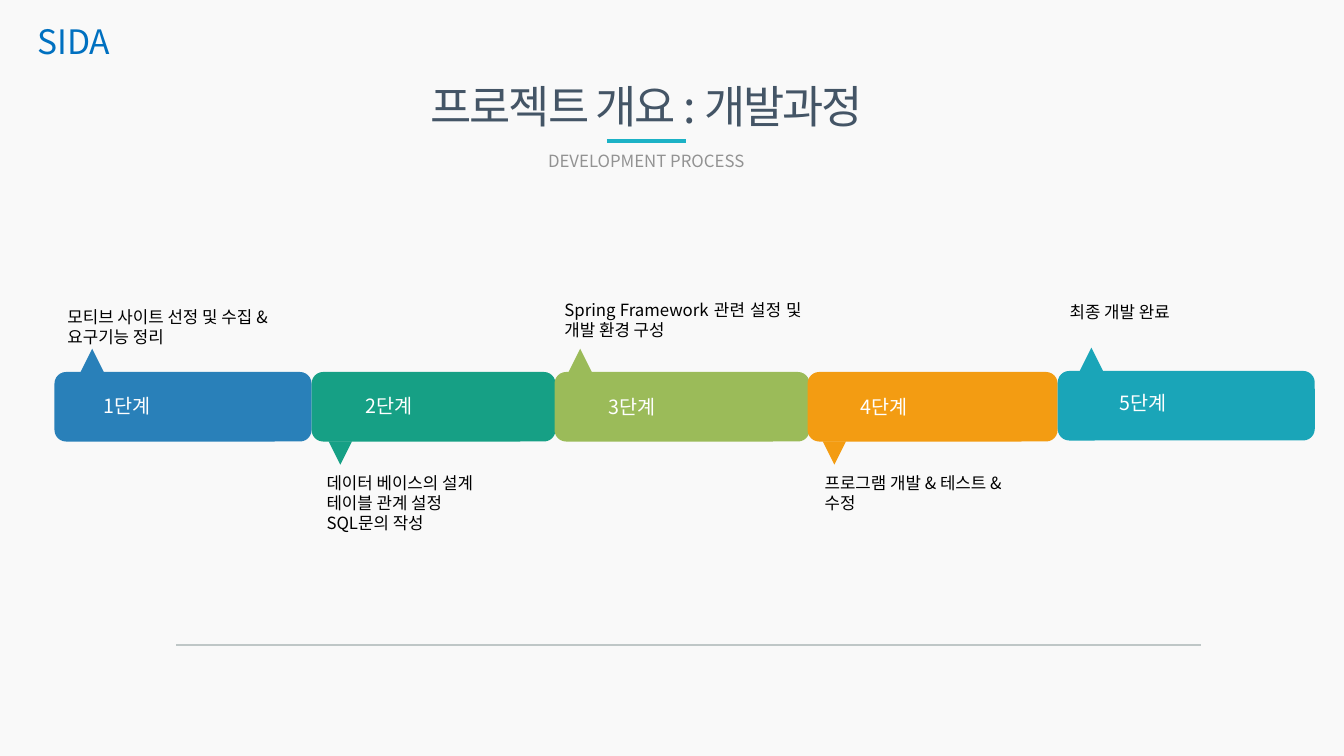
from lxml import etree
from pptx import Presentation
from pptx.dml.color import RGBColor
from pptx.enum import shapes, text
from pptx.oxml import ns
from pptx.util import Inches, Pt

FONT = "Noto Sans CJK KR"
BACKGROUND = RGBColor(0xF9, 0xF9, 0xF9)
TITLE_COLOR = RGBColor(0x44, 0x55, 0x66)
SUBTITLE_COLOR = RGBColor(0x92, 0x92, 0x92)
ACCENT = RGBColor(0x1C, 0xB2, 0xC6)
RULE_COLOR = RGBColor(0xBF, 0xC7, 0xC7)
SIDA_BLUE = RGBColor(0x00, 0x70, 0xC0)
BLACK = RGBColor(0x00, 0x00, 0x00)
WHITE = RGBColor(0xFF, 0xFF, 0xFF)
BLUE = RGBColor(0x29, 0x80, 0xB9)
GREEN = RGBColor(0x16, 0xA0, 0x85)
OLIVE = RGBColor(0x9B, 0xBB, 0x59)
ORANGE = RGBColor(0xF3, 0x9C, 0x12)
TEAL = RGBColor(0x1A, 0xA5, 0xB8)

LEFT = text.PP_ALIGN.LEFT
CENTER = text.PP_ALIGN.CENTER
JUSTIFY = text.PP_ALIGN.JUSTIFY

BAR_HEIGHT = 0.69
POINTER_SIZE = 0.23


def add_text(parent, box, content, size, color, alignment=LEFT, spacing=0):
    """Add a text box; spacing is the letter spacing in points."""
    text_box = parent.add_textbox(*map(Inches, box))
    frame = text_box.text_frame
    frame.word_wrap = True
    frame.auto_size = text.MSO_AUTO_SIZE.SHAPE_TO_FIT_TEXT
    frame.text = content
    for paragraph in frame.paragraphs:
        paragraph.alignment = alignment
        for run in paragraph.runs:
            run.font.size = Pt(size)
            run.font.color.rgb = color
            run.font.name = FONT
            properties = run.font._element
            etree.SubElement(properties, ns.qn("a:ea"), typeface=FONT)
            if spacing:
                properties.set("spc", str(int(spacing * 100)))


def add_rule(left, right, top, color, width):
    line = slide.shapes.add_connector(
        shapes.MSO_CONNECTOR.STRAIGHT,
        Inches(left), Inches(top), Inches(right), Inches(top))
    line.line.color.rgb = color
    line.line.width = Pt(width)
    etree.SubElement(line._element.spPr, ns.qn("a:effectLst"))


presentation = Presentation()
presentation.slide_width = Inches(13.33)
presentation.slide_height = Inches(7.5)
slide = presentation.slides.add_slide(presentation.slide_layouts[6])
slide.background.fill.solid()
slide.background.fill.fore_color.rgb = BACKGROUND

add_text(slide.shapes, (3.04, 0.73, 6.75, 0.64), "프로젝트 개요 : 개발과정",
         32, TITLE_COLOR, CENTER, spacing=-1.5)
add_text(slide.shapes, (4.67, 1.45, 3.48, 0.3), "DEVELOPMENT PROCESS",
         12, SUBTITLE_COLOR, CENTER)
add_rule(6.02, 6.8, 1.4, ACCENT, 3)

# color, bar (left, top, width), pointer left, points up,
# label (left, top), description box, description
stages = [
    (BLUE, (0.54, 3.69, 2.55), 0.8, True, (0.93, 3.86),
     (0.57, 2.99, 2.72, 0.5), "모티브 사이트 선정 및 수집 &\n요구기능 정리"),
    (GREEN, (3.09, 3.69, 2.42), 3.26, False, (3.53, 3.86),
     (3.14, 4.64, 2.55, 0.71), "데이터 베이스의 설계\n테이블 관계 설정\nSQL문의 작성"),
    (OLIVE, (5.5, 3.69, 2.53), 5.64, True, (5.94, 3.87),
     (5.5, 2.92, 2.55, 0.5), "Spring Framework 관련 설정 및 개발 환경 구성"),
    (ORANGE, (8.01, 3.69, 2.48), 8.16, False, (8.44, 3.87),
     (8.08, 4.64, 2.55, 0.5), "프로그램 개발 & 테스트 &\n수정"),
    (TEAL, (10.49, 3.68, 2.55), 10.71, True, (11.01, 3.83),
     (10.51, 2.94, 2.55, 0.3), "최종 개발 완료"),
]

for number, stage in enumerate(stages, start=1):
    color, bar_box, pointer_left, points_up, label, description_box, description = stage
    group = slide.shapes.add_group_shape().shapes
    bar_left, bar_top, bar_width = bar_box
    bar = group.add_shape(
        shapes.MSO_SHAPE.ROUNDED_RECTANGLE, Inches(bar_left), Inches(bar_top),
        Inches(bar_width), Inches(BAR_HEIGHT))
    pointer_top = bar_top - POINTER_SIZE if points_up else bar_top + BAR_HEIGHT
    pointer = group.add_shape(
        shapes.MSO_SHAPE.ISOSCELES_TRIANGLE, Inches(pointer_left),
        Inches(pointer_top), Inches(POINTER_SIZE), Inches(POINTER_SIZE))
    pointer.rotation = 0 if points_up else 180
    for shape in (bar, pointer):
        shape.shadow.inherit = False
        shape.fill.solid()
        shape.fill.fore_color.rgb = color
        shape.line.fill.background()
    add_text(group, description_box, description, 12, BLACK, JUSTIFY)
    add_text(group, (*label, 2.36, 0.34), f"{number}단계", 14, WHITE)

add_rule(1.75, 11.91, 6.4, RULE_COLOR, 1.5)
add_text(slide.shapes, (0.27, 0.16, 1.18, 0.5), "SIDA", 24, SIDA_BLUE)

presentation.save("out.pptx")
